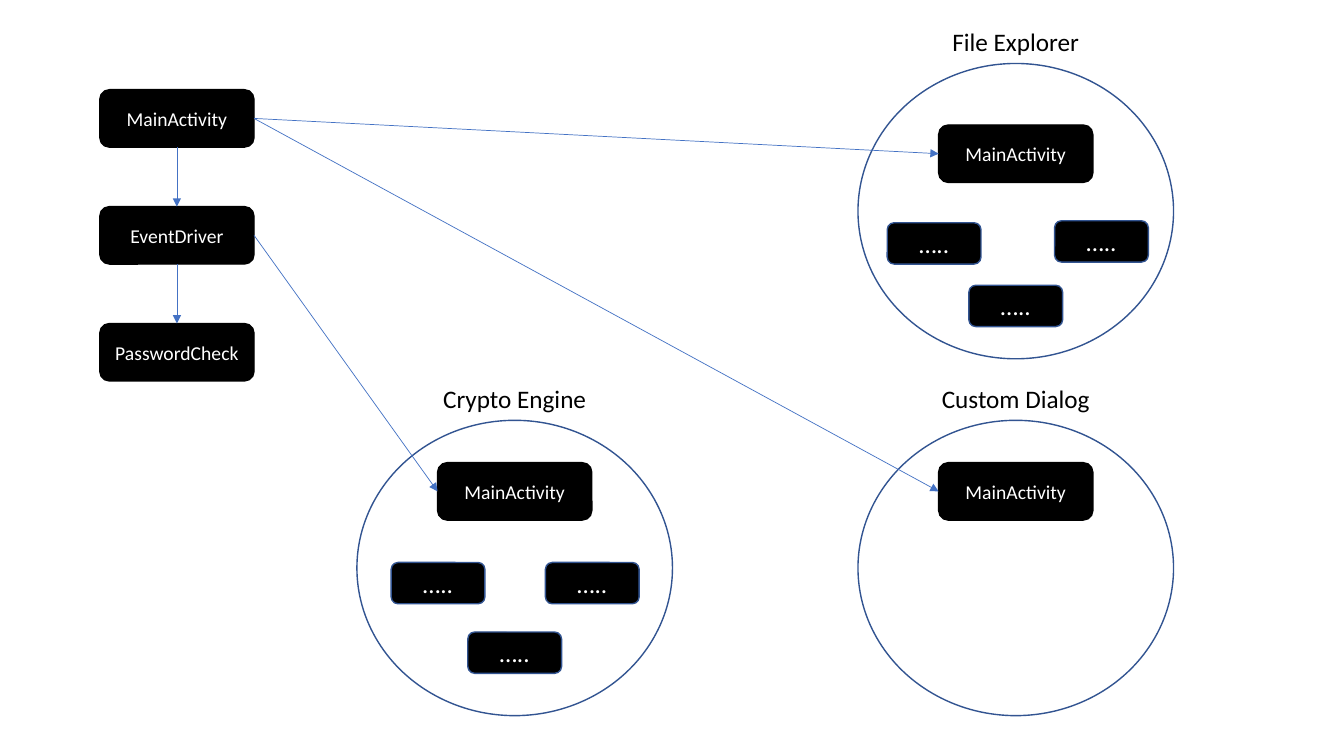
import pptx
import pptx.util
import pptx.dml.color
import pptx.enum.shapes
import pptx.enum.text
import pptx.oxml.ns
import lxml.etree

Inches = pptx.util.Inches
Pt = pptx.util.Pt
SHAPE = pptx.enum.shapes.MSO_SHAPE

BLACK, WHITE, NAVY, BLUE = "000000", "FFFFFF", "325491", "4472C4"
BOX_W, BOX_H = 1.53, 0.57
DOT_W, DOT_H = 0.93, 0.41
RING_W, RING_H = 3.13, 2.93
TOP, LEFT, BOTTOM, RIGHT = range(4)


def color(code):
    """Turn a hex string into a colour."""
    return pptx.dml.color.RGBColor.from_string(code)


def write(shape, text, size, ink):
    """Put one centred line of text in a shape."""
    frame = shape.text_frame
    frame.word_wrap = True
    line = frame.paragraphs[0]
    line.text = text
    line.alignment = pptx.enum.text.PP_ALIGN.CENTER
    line.font.name = "Calibri"
    line.font.size = Pt(size)
    line.font.color.rgb = color(ink)


def outline(slide, kind, left, top, width, height, edge):
    """Add a shape without shadow and with a thin edge."""
    shape = slide.shapes.add_shape(
        kind, Inches(left), Inches(top), Inches(width), Inches(height))
    shape.shadow.inherit = False
    shape.line.color.rgb = color(edge)
    shape.line.width = Pt(1)
    return shape


def block(slide, left, top, width, height, text, size, edge):
    """Add a black rounded box with white text."""
    box = outline(slide, SHAPE.ROUNDED_RECTANGLE, left, top, width, height, edge)
    box.fill.solid()
    box.fill.fore_color.rgb = color(BLACK)
    box.text_frame.vertical_anchor = pptx.enum.text.MSO_ANCHOR.MIDDLE
    write(box, text, size, WHITE)
    return box


def arrow(slide, start, begin, end, finish):
    """Join two boxes at the given sides with an arrow."""
    line = slide.shapes.add_connector(
        pptx.enum.shapes.MSO_CONNECTOR.STRAIGHT, 0, 0, 0, 0)
    line.begin_connect(start, begin)
    line.end_connect(end, finish)
    line.line.color.rgb = color(BLUE)
    line.line.width = Pt(0.5)
    tag = pptx.oxml.ns.qn
    head = lxml.etree.SubElement(line.line._get_or_add_ln(), tag("a:tailEnd"))
    head.set("type", "triangle")
    lxml.etree.SubElement(line._element.spPr, tag("a:effectLst"))


def chain(slide, left, top, names, step):
    """Stack named boxes, join them downwards and return them."""
    boxes = [block(slide, left, top + i * step, BOX_W, BOX_H, name, 14, BLACK)
             for i, name in enumerate(names)]
    for upper, lower in zip(boxes, boxes[1:]):
        arrow(slide, upper, BOTTOM, lower, TOP)
    return boxes


def module(slide, left, top, title, drop, dots=()):
    """Draw a titled ring with its parts and return its main box."""
    outline(slide, SHAPE.OVAL, left, top, RING_W, RING_H, NAVY).fill.background()
    wide = 2.46
    label = slide.shapes.add_textbox(
        Inches(left + (RING_W - wide) / 2), Inches(top - 0.42),
        Inches(wide), Inches(0.4))
    write(label, title, 18, BLACK)
    for x, y in dots:
        block(slide, left + x, top + y, DOT_W, DOT_H, "…..", 18, NAVY)
    return block(slide, left + (RING_W - BOX_W) / 2, top + drop,
                 BOX_W, BOX_H, "MainActivity", 14, BLACK)


def main():
    """Build and save the slide."""
    deck = pptx.Presentation()
    deck.slide_width, deck.slide_height = Inches(13.33), Inches(7.5)
    slide = deck.slides.add_slide(deck.slide_layouts[6])
    start, event, _ = chain(
        slide, 0.99, 0.89, ["MainActivity", "EventDriver", "PasswordCheck"], 1.16)
    files = module(slide, 8.51, 0.63, "File Explorer", 0.61,
                   [(0.29, 1.58), (1.95, 1.56), (1.1, 2.2)])
    crypto = module(slide, 3.54, 4.17, "Crypto Engine", 0.42,
                    [(0.34, 1.41), (1.87, 1.41), (1.1, 2.1)])
    dialog = module(slide, 8.51, 4.17, "Custom Dialog", 0.42)
    for source, target in [(start, files), (event, crypto), (start, dialog)]:
        arrow(slide, source, RIGHT, target, LEFT)
    deck.save("out.pptx")


if __name__ == "__main__":
    main()
